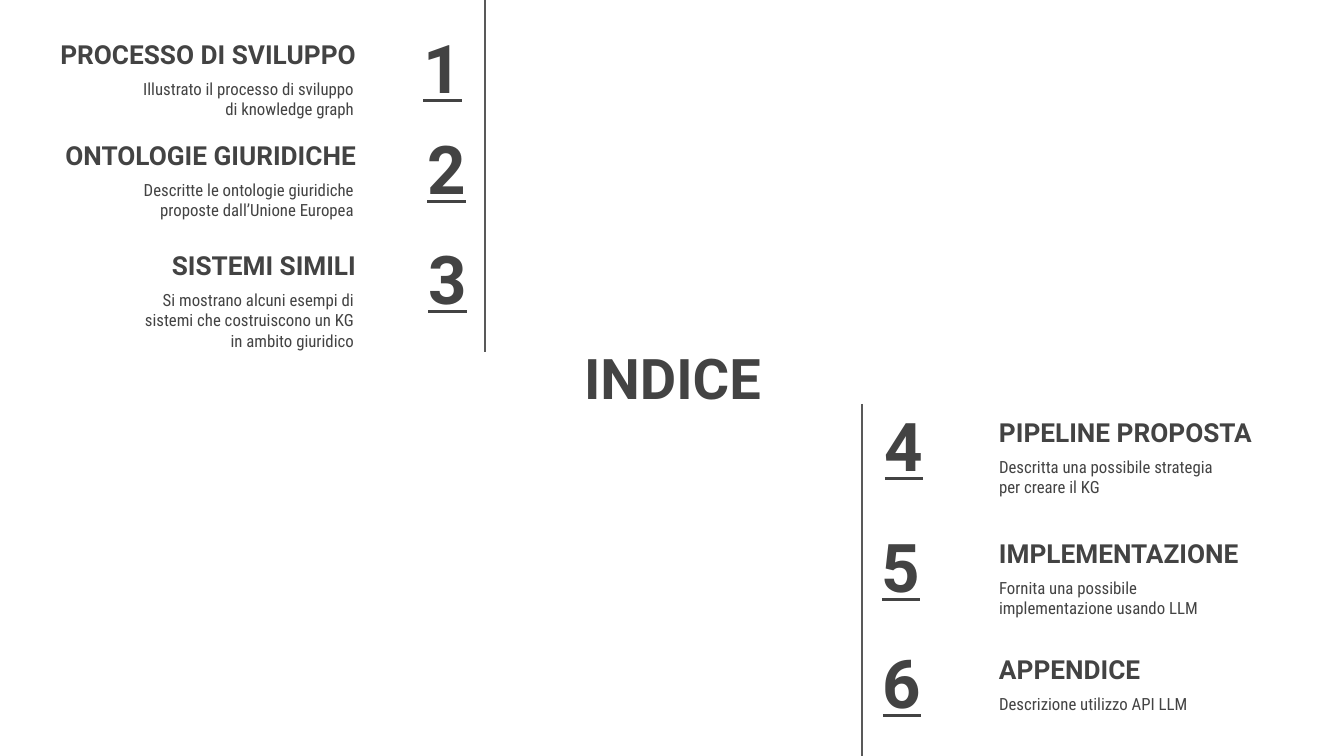
"""Build the index slide: six numbered chapters around a central title."""
from dataclasses import dataclass

from lxml import etree
from pptx import Presentation
from pptx.dml.color import RGBColor
from pptx.enum.shapes import MSO_CONNECTOR
from pptx.enum.text import MSO_ANCHOR, MSO_AUTO_SIZE, PP_ALIGN
from pptx.oxml.ns import qn
from pptx.util import Emu, Pt

LEFT, CENTER, RIGHT = PP_ALIGN.LEFT, PP_ALIGN.CENTER, PP_ALIGN.RIGHT
TOP, MIDDLE, BOTTOM = MSO_ANCHOR.TOP, MSO_ANCHOR.MIDDLE, MSO_ANCHOR.BOTTOM
NO_AUTOFIT = MSO_AUTO_SIZE.NONE
STRAIGHT = MSO_CONNECTOR.STRAIGHT

TITLE = "INDICE"
TITLE_AREA = (498, 308, 349, 139)

COLUMNS = [
    {
        "align": RIGHT,
        "heading": (46, 323),
        "summary": (121, 246),
        "number_width": 163,
        "rule": (485, 0, 352),
        "chapters": [
            ("1", 312, -1, "PROCESSO DI SVILUPPO",
             "Illustrato il processo di sviluppo di knowledge graph"),
            ("2", 316, 100, "ONTOLOGIE GIURIDICHE",
             "Descritte le ontologie giuridiche proposte dall’Unione Europea"),
            ("3", 317, 210, "SISTEMI SIMILI",
             "Si mostrano alcuni esempi di sistemi che costruiscono un KG in ambito giuridico"),
        ],
    },
    {
        "align": LEFT,
        "heading": (986, 290),
        "summary": (986, 246),
        "number_width": 157,
        "rule": (862, 404, 758),
        "chapters": [
            ("4", 872, 377, "PIPELINE PROPOSTA",
             "Descritta una possibile strategia per creare il KG"),
            ("5", 869, 498, "IMPLEMENTAZIONE",
             "Fornita una possibile implementazione usando LLM"),
            ("6", 870, 614, "APPENDICE",
             "Descrizione utilizzo API LLM"),
        ],
    },
]

PAGE_WIDTH, PAGE_HEIGHT = 1344, 756
EMU_PER_PX = 914400 / 100.8
INSET = 13
BOX_HEIGHT = 84
NUMBER_DROP, SUMMARY_DROP = 26, 67


@dataclass(frozen=True)
class Theme:
    """Colours, fonts and type sizes."""
    ink: RGBColor = RGBColor(0x43, 0x43, 0x43)
    rule: RGBColor = RGBColor(0x59, 0x59, 0x59)
    rule_width: float = 0.75
    display: str = "Roboto"
    body: str = "Roboto Condensed"
    title_size: float = 40
    number_size: float = 48
    heading_size: float = 18.7
    summary_size: float = 12


THEME = Theme()


def px(length):
    """Turn px into EMU."""
    return Emu(round(length * EMU_PER_PX))


def write(box, text, size, align, anchor, font=THEME.display, bold=True, underline=False):
    """Fill a text shape with one formatted paragraph."""
    frame = box.text_frame
    frame.text = text
    frame.word_wrap = True
    frame.auto_size = NO_AUTOFIT
    frame.vertical_anchor = anchor
    frame.margin_left = frame.margin_right = px(INSET)
    frame.margin_top = frame.margin_bottom = px(INSET)
    para = frame.paragraphs[0]
    para.alignment = align
    span = para.runs[0].font
    span.name = font
    span.size = Pt(size)
    span.bold = bold
    span.underline = underline
    span.color.rgb = THEME.ink


def add_text(page, area, text, size, align, anchor, **style):
    """Add a text box over an area given in px."""
    box = page.shapes.add_textbox(*map(px, area))
    write(box, text, size, align, anchor, **style)


def add_rule(page, x, top, bottom):
    """Add a thin vertical line."""
    line = page.shapes.add_connector(STRAIGHT, px(x), px(top), px(x), px(bottom))
    line.line.color.rgb = THEME.rule
    line.line.width = Pt(THEME.rule_width)
    etree.SubElement(line._element.spPr, qn("a:effectLst"))


def add_column(page, column):
    """Add one column of chapters and its rule."""
    align = column["align"]
    heading_left, heading_width = column["heading"]
    summary_left, summary_width = column["summary"]
    for number, number_left, top, heading, summary in column["chapters"]:
        add_text(page, (heading_left, top, heading_width, BOX_HEIGHT),
                 heading, THEME.heading_size, align, BOTTOM)
        add_text(page, (summary_left, top + SUMMARY_DROP, summary_width, BOX_HEIGHT),
                 summary, THEME.summary_size, align, TOP, font=THEME.body, bold=False)
        add_text(page, (number_left, top + NUMBER_DROP, column["number_width"], BOX_HEIGHT),
                 number, THEME.number_size, align, MIDDLE, underline=True)
    add_rule(page, *column["rule"])


def main():
    """Build and save the deck."""
    deck = Presentation()
    deck.slide_width, deck.slide_height = px(PAGE_WIDTH), px(PAGE_HEIGHT)
    page = deck.slides.add_slide(deck.slide_layouts.get_by_name("Title Only"))
    title = page.shapes.title
    title.left, title.top, title.width, title.height = map(px, TITLE_AREA)
    write(title, TITLE, THEME.title_size, CENTER, MIDDLE)
    for column in COLUMNS:
        add_column(page, column)
    deck.save("out.pptx")


if __name__ == "__main__":
    main()
